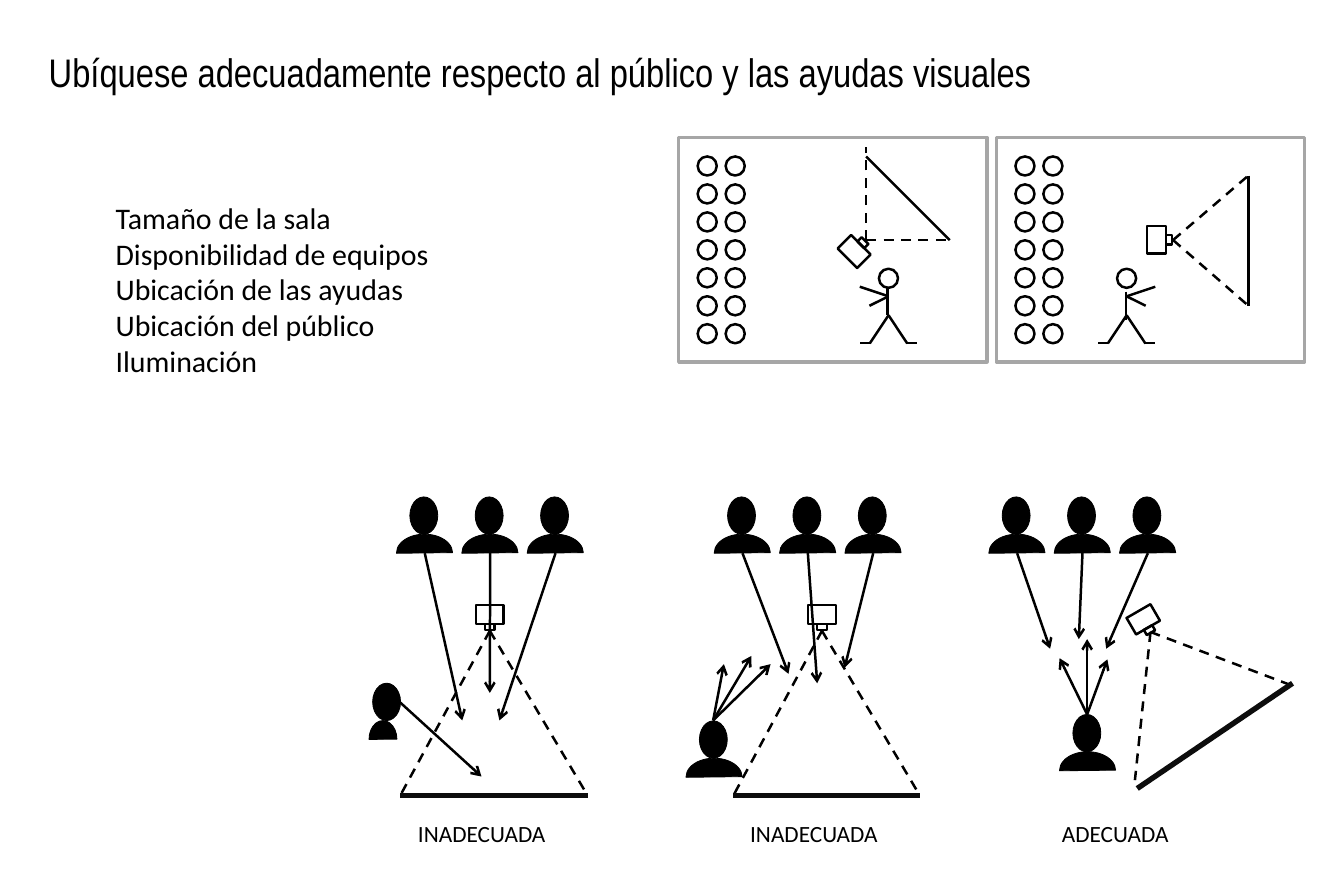
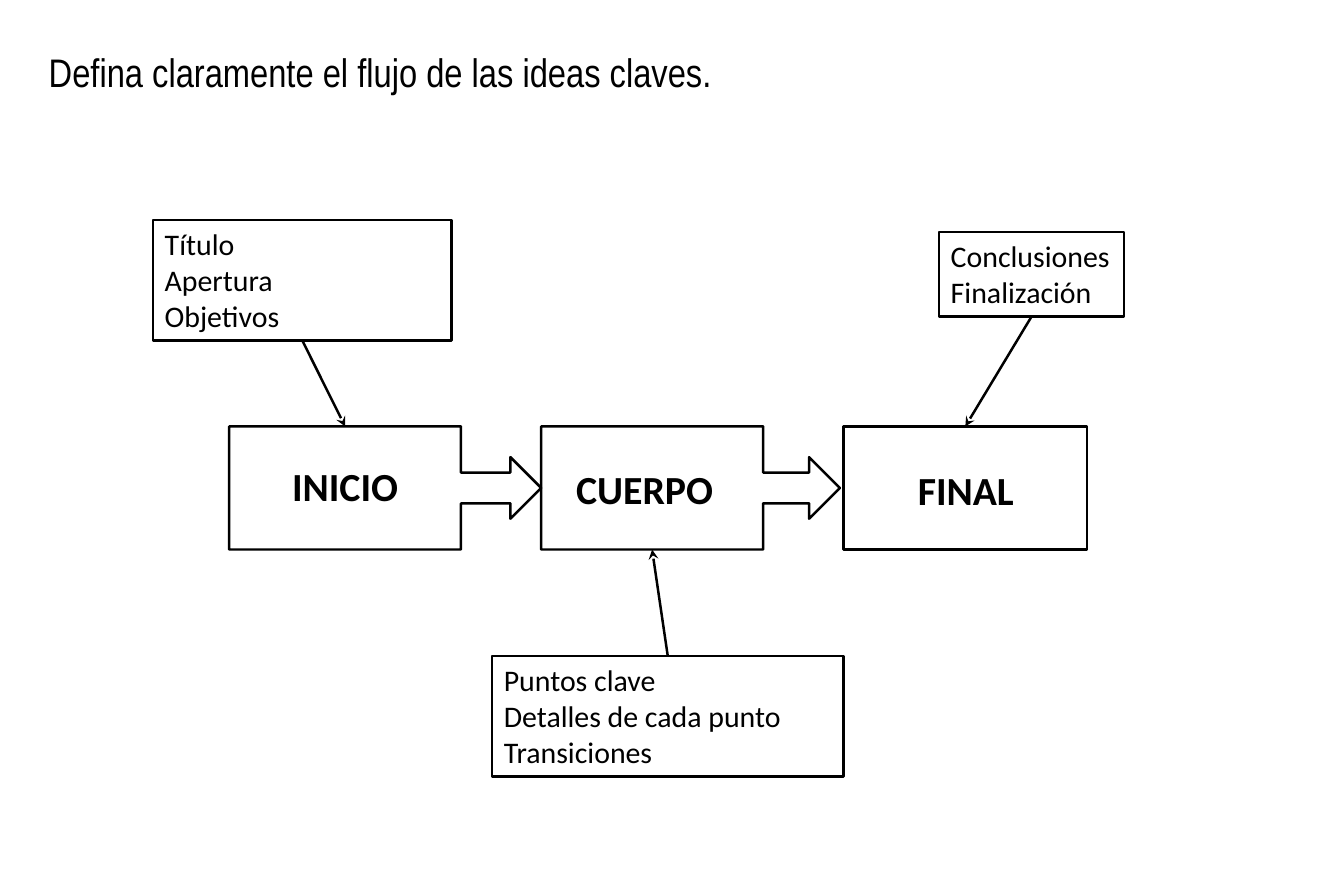
import dataclasses
import math

import lxml.etree
import pptx
import pptx.dml.color
import pptx.enum.dml
import pptx.enum.shapes
import pptx.enum.text
import pptx.oxml.ns
import pptx.util

Pt = pptx.util.Pt
SHAPE = pptx.enum.shapes.MSO_SHAPE
ANCHOR = pptx.enum.text.MSO_ANCHOR
ALIGN = pptx.enum.text.PP_ALIGN
FIT = pptx.enum.text.MSO_AUTO_SIZE
qn = pptx.oxml.ns.qn


@dataclasses.dataclass(frozen=True)
class Theme:
    ink: str = "000000"
    screen: str = "0D0D0D"
    frame: str = "A6A6A6"
    title_font: str = "Arial Narrow"
    body_font: str = "Calibri"
    title_size: int = 24
    stage_size: int = 24
    body_size: int = 18
    label_size: int = 14
    stroke: float = 1.5
    frame_stroke: float = 2
    screen_stroke: float = 3.25
    person_stroke: float = 0.5


theme = Theme()
TITLE = {"name": theme.title_font, "size": Pt(theme.title_size)}
BODY = {"name": theme.body_font, "size": Pt(theme.body_size)}
LABEL = {"name": theme.body_font, "size": Pt(theme.label_size)}
STAGE = {"name": theme.body_font, "size": Pt(theme.stage_size), "bold": True}


def add_box(page, kind, area, lines=(), font=BODY, frame=None, para_format=None,
            outline=theme.ink, weight=theme.stroke, fill=None, rotation=0, adjust=()):
    """Add a preset shape, or a text box when kind is None, holding one paragraph per line."""
    place = [Pt(value) for value in area]
    if kind is None:
        box = page.shapes.add_textbox(*place)
    else:
        box = page.shapes.add_shape(kind, *place)
        box.shadow.inherit = False
        box.rotation = rotation
        box.line.color.rgb = pptx.dml.color.RGBColor.from_string(outline)
        box.line.width = Pt(weight)
        if fill:
            box.fill.solid()
            box.fill.fore_color.rgb = pptx.dml.color.RGBColor.from_string(fill)
        else:
            box.fill.background()
        for index, value in enumerate(adjust):
            box.adjustments[index] = value
    frame_format = {"word_wrap": True, "auto_size": FIT.SHAPE_TO_FIT_TEXT,
                    "vertical_anchor": ANCHOR.TOP} | (frame or {})
    if lines:
        for name, value in frame_format.items():
            setattr(box.text_frame, name, value)
    for index, line in enumerate(lines):
        para = box.text_frame.paragraphs[0] if index == 0 else box.text_frame.add_paragraph()
        for name, value in ({"alignment": ALIGN.LEFT} | (para_format or {})).items():
            setattr(para, name, value)
        span = para.add_run()
        span.text = line
        for name, value in font.items():
            setattr(span.font, name, value)
        span.font.color.rgb = pptx.dml.color.RGBColor.from_string(theme.ink)
    return box


def add_line(page, start, end, color=theme.ink, weight=theme.stroke, dashed=False, head=None):
    line = page.shapes.add_connector(pptx.enum.shapes.MSO_CONNECTOR.STRAIGHT,
                                     *[Pt(value) for value in (*start, *end)])
    line.line.color.rgb = pptx.dml.color.RGBColor.from_string(color)
    line.line.width = Pt(weight)
    if dashed:
        line.line.dash_style = pptx.enum.dml.MSO_LINE.DASH
    properties = line.element.spPr
    if head:
        lxml.etree.SubElement(properties.find(qn("a:ln")), qn("a:tailEnd"), type=head)
    lxml.etree.SubElement(properties, qn("a:effectLst"))
    return line


deck = pptx.Presentation()
deck.slide_width, deck.slide_height = Pt(810), Pt(540)
pages = []
for title in ("Ubíquese adecuadamente respecto al público y las ayudas visuales",
              "Defina claramente el flujo de las ideas claves."):
    page = deck.slides.add_slide(deck.slide_layouts[6])
    add_box(page, None, (22.3, 22.3, 737.3, 45.4), [title], TITLE,
            {"auto_size": FIT.NONE, "vertical_anchor": ANCHOR.MIDDLE}, {"line_spacing": 0.9})
    pages.append(page)
position_page, flow_page = pages

# Rooms seen from above: frame, seats and a standing speaker
SEAT, SEAT_STEP = 11.5, 16.85
rooms = [
    {"left": 409, "speaker": 535.5, "facing": -1, "torso": 173},
    {"left": 600.5, "speaker": 679, "facing": 1, "torso": 175.7},
]
for room in rooms:
    add_box(position_page, SHAPE.RECTANGLE, (room["left"], 82.8, 185.8, 135.4),
            outline=theme.frame, weight=theme.frame_stroke)
    for row in range(7):
        for column in range(2):
            add_box(position_page, SHAPE.OVAL,
                    (room["left"] + 11.5 + column * SEAT_STEP, 94.3 + row * SEAT_STEP,
                     SEAT, SEAT))
    x, facing = room["speaker"], room["facing"]
    add_box(position_page, SHAPE.OVAL, (x - SEAT / 2, 162, SEAT, SEAT))
    add_line(position_page, (x - 0.5, room["torso"]), (x - 0.5, room["torso"] + 17))
    for reach, hand in ((17.3, 172.8), (11.5, 184.3)):
        add_line(position_page, (x, 178.6), (x + facing * reach, hand))
    for side in (-1, 1):
        add_line(position_page, (x, 190), (x + side * 11.3, 207))
        add_line(position_page, (x + side * 11.3, 206.8), (x + side * 17, 206.8))

# Projectors (centre and angle), their beams and their screens
flat = {"color": theme.screen, "weight": theme.screen_stroke}
projections = [
    {"projector": (514.8, 151.6, 315), "lens": (522, 144.7),
     "beam": [(522, 88.6), (572.4, 144.7)], "screen": [(522, 94.3), (572.4, 144.7)],
     "style": {}},
    {"projector": (697, 144.4, 0), "lens": (707, 144.7),
     "beam": [(752.4, 105.8), (752.4, 184.3)], "screen": [(752.4, 105.8), (752.4, 184.3)],
     "style": {}},
    {"projector": (295.2, 370.4, 90), "lens": (295.2, 380.2),
     "beam": [(241.2, 479.5), (354.2, 479.5)], "screen": [(241.2, 479.5), (354.2, 479.5)],
     "style": flat},
    {"projector": (495.4, 370.4, 90), "lens": (495.4, 380.2),
     "beam": [(442, 479.5), (554.4, 479.5)], "screen": [(442, 479.5), (554.4, 479.5)],
     "style": flat},
    {"projector": (689, 373.3, 60), "lens": (693.4, 380.9),
     "beam": [(684, 470.2), (779, 413.3)], "screen": [(779, 411.8), (685.4, 475.2)],
     "style": flat},
]
for projection in projections:
    x, y, angle = projection["projector"]
    for offset, width, height in ((0, 11.5, 16.6), (7.5, 3.6, 5.8)):
        part_x = x + offset * math.cos(math.radians(angle))
        part_y = y + offset * math.sin(math.radians(angle))
        add_box(position_page, SHAPE.RECTANGLE,
                (part_x - width / 2, part_y - height / 2, width, height), rotation=angle)
    for corner in projection["beam"]:
        add_line(position_page, projection["lens"], corner, dashed=True)
    add_line(position_page, *projection["screen"], **projection["style"])

# Scenes: three spectators, a speaker, and where everyone looks
SPECTATOR_STEP = 39.4
HEAD_WIDTH, HEAD_HEIGHT, SHOULDERS = 16.8, 22.5, 33.8
scenes = [
    {"label": "INADECUADA", "label_area": (244.8, 490.3, 92.2, 24.5),
     "audience": 247, "gazes": [(278.6, 434.2), (295.2, 417.6), (301, 434.2)],
     "speaker": (224.6, 411.8, 16.8, -2.2),
     "eyes": (241.2, 423.4), "looks": [(290.2, 468)]},
    {"label": "INADECUADA", "label_area": (445, 490.3, 92.2, 24.5),
     "audience": 438.5, "gazes": [(475.2, 406.1), (492.5, 411.8), (509, 402.5)],
     "speaker": (421.5, 434.5, SHOULDERS, -8),
     "eyes": (429.8, 434.2), "looks": [(436.3, 400.3), (452.9, 395.3), (464.4, 400.3)]},
    {"label": "ADECUADA", "label_area": (632.9, 490.3, 79.2, 24.5),
     "audience": 604, "gazes": [(632.9, 391), (650.2, 385.2), (666.7, 391)],
     "speaker": (646.6, 430.6, SHOULDERS, -8),
     "eyes": (655.2, 430.6), "looks": [(638.6, 396.7), (655.2, 385.2), (667.4, 397.4)]},
]
for scene in scenes:
    seats = [scene["audience"] + index * SPECTATOR_STEP for index in range(3)]
    people = [(seat, 299.5, SHOULDERS, -8) for seat in seats] + [scene["speaker"]]
    for left, top, shoulders, shift in people:
        solid = {"fill": theme.ink, "weight": theme.person_stroke}
        add_box(position_page, SHAPE.OVAL, (left, top, HEAD_WIDTH, HEAD_HEIGHT), **solid)
        add_box(position_page, SHAPE.CHORD,
                (left + shift, top + HEAD_HEIGHT, shoulders, HEAD_HEIGHT),
                adjust=(107.486, 215.735), **solid)
    for seat, target in zip(seats, scene["gazes"]):
        add_line(position_page, (seat + 9, 333.4), target, head="arrow")
    for target in scene["looks"]:
        add_line(position_page, scene["eyes"], target, head="arrow")
    add_box(position_page, None, scene["label_area"], [scene["label"]], LABEL,
            {"word_wrap": False})

add_box(position_page, None, (62.6, 116.6, 250.6, 116.6),
        ["Tamaño de la sala", "Disponibilidad de equipos", "Ubicación de las ayudas",
         "Ubicación del público", "Iluminación"])

# Flow of ideas: three stages, each with a note pointing at it
STAGE_TOP, STAGE_HEIGHT = 257, 74.2
callout = (0.25, 0.25, 0.25, 0.743)
stages = [
    {"name": "INICIO", "kind": SHAPE.RIGHT_ARROW_CALLOUT, "left": 138.2, "width": 188,
     "adjust": callout, "name_area": (138.2, 275, 139.7, 36),
     "note": ["Título", "Apertura", "Objetivos"], "note_area": (92.2, 132.5, 180, 72.7),
     "wrap": True, "note_side": 2, "tip": (208, 257)},
    {"name": "CUERPO", "kind": SHAPE.RIGHT_ARROW_CALLOUT, "left": 326.2, "width": 180,
     "adjust": callout, "name_area": (326.2, 276.5, 124.6, 36),
     "note": ["Puntos clave", "Detalles de cada punto", "Transiciones"],
     "note_area": (296.6, 395.3, 211.7, 72.7),
     "wrap": True, "note_side": 0, "tip": (393, 331.2)},
    {"name": "FINAL", "kind": SHAPE.RECTANGLE, "left": 508.3, "width": 147,
     "adjust": (), "name_area": (509, 277.2, 146.2, 36),
     "note": ["Conclusiones", "Finalización"], "note_area": (565.9, 139.7, 111.6, 51.1),
     "wrap": False, "note_side": 2, "tip": (581.8, 257)},
]
for stage in stages:
    stage_box = add_box(flow_page, stage["kind"],
                        (stage["left"], STAGE_TOP, stage["width"], STAGE_HEIGHT),
                        adjust=stage["adjust"])
    add_box(flow_page, None, stage["name_area"], [stage["name"]], STAGE,
            para_format={"alignment": ALIGN.CENTER})
    note_box = add_box(flow_page, SHAPE.RECTANGLE, stage["note_area"], stage["note"],
                       frame={"word_wrap": stage["wrap"]})
    pointer = add_line(flow_page, stage["note_area"][:2], stage["tip"], head="stealth")
    pointer.begin_connect(note_box, stage["note_side"])
    if stage["kind"] == SHAPE.RECTANGLE:
        pointer.end_connect(stage_box, 0)

deck.save("out.pptx")
